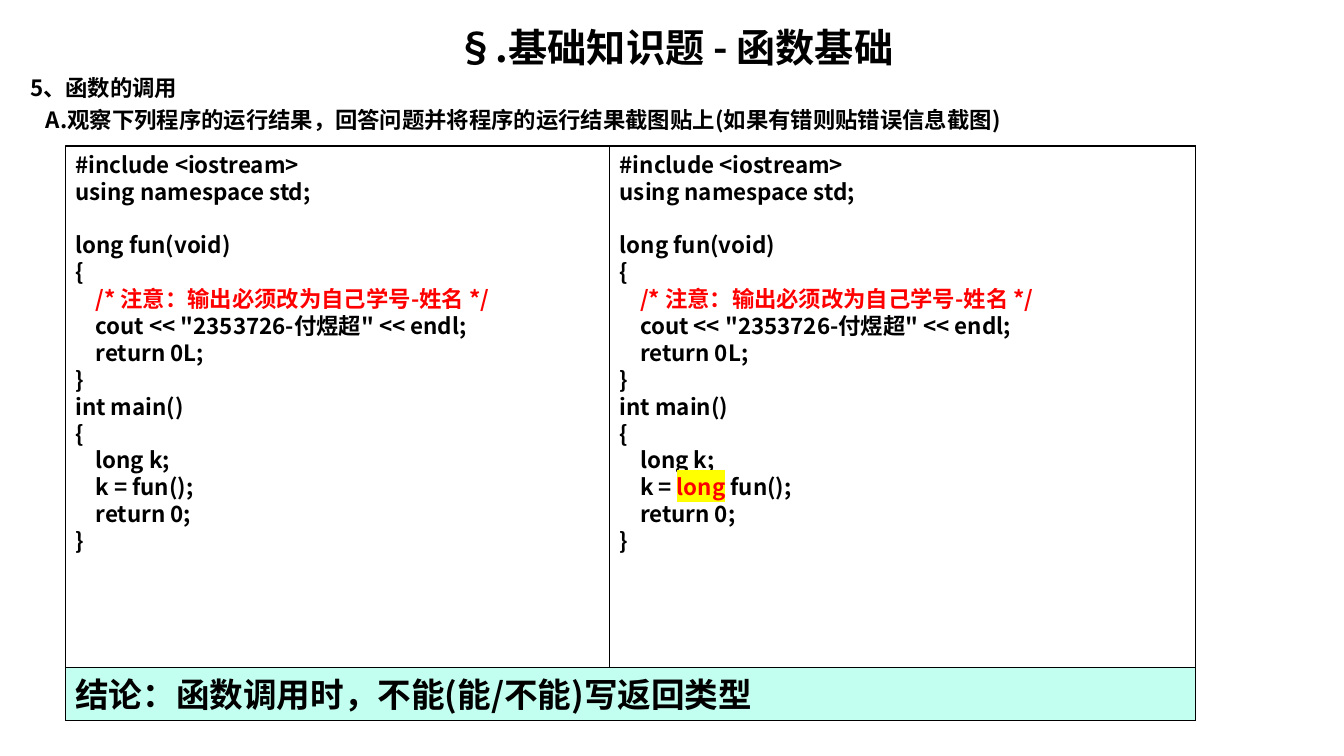
"""Builds a slide on calling functions, with two code samples and a conclusion."""
import pptx
import pptx.dml.color
import pptx.enum.shapes
import pptx.enum.text
import pptx.oxml.ns
import pptx.util
from lxml import etree

Cm = pptx.util.Cm
Pt = pptx.util.Pt
FONT = "Noto Sans CJK SC"
COLOURS = {"text": "000000", "alert": "FF0000", "marker": "FFFF00", "conclusion": "C2FFF0"}
LINE_RATIO = 1.2
FRAME_LEFT, FRAME_TOP = Cm(1.65), Cm(3.68)
FRAME_WIDTH, FRAME_HEIGHT = Cm(28.47), Cm(14.48)
RIGHT_LEFT = Cm(15.37)
CONCLUSION_HEIGHT = Cm(1.35)

CODE = """#include <iostream>
using namespace std;

long fun(void)
{
    /* 注意：输出必须改为自己学号-姓名 */
    cout << "2353726-付煜超" << endl;
    return 0L;
}
int main()
{
    long k;
    k = CALL;
    return 0;
}"""


def rgb(name):
    """Return the named colour."""
    return pptx.dml.color.RGBColor.from_string(COLOURS[name])


def style_span(span, size, colour="text", marker=None):
    """Format one run, with an optional highlight colour."""
    span.font.size = Pt(size)
    span.font.bold = True
    span.font.name = FONT
    span.font.color.rgb = rgb(colour)
    latin = span.font._element.find(pptx.oxml.ns.qn("a:latin"))
    east_asian = etree.Element(pptx.oxml.ns.qn("a:ea"), typeface=FONT)
    latin.addnext(east_asian)
    if marker:
        highlight = etree.Element(pptx.oxml.ns.qn("a:highlight"))
        etree.SubElement(highlight, pptx.oxml.ns.qn("a:srgbClr"), val=COLOURS[marker])
        latin.addprevious(highlight)


def style_text(box, size, align=pptx.enum.text.PP_ALIGN.LEFT, anchor=pptx.enum.text.MSO_ANCHOR.TOP):
    """Format all the text of a box."""
    frame = box.text_frame
    frame.word_wrap = True
    frame.auto_size = pptx.enum.text.MSO_AUTO_SIZE.NONE
    frame.vertical_anchor = anchor
    for para in frame.paragraphs:
        para.alignment = align
        para.line_spacing = Pt(size * LINE_RATIO)
        para.space_before = Pt(0)
        para.font.size = Pt(size)
        for span in para.runs:
            style_span(span, size)


def add_title(page, text):
    """Place the slide title."""
    title = page.shapes.title
    title.left, title.top, title.width, title.height = Cm(0.51), Cm(0.46), Cm(33), Cm(1.4)
    title.text_frame.text = text
    style_text(title, 28, pptx.enum.text.PP_ALIGN.CENTER)


def add_question(page, heading, task):
    """Add the question heading and its indented task."""
    box = page.shapes.add_textbox(Cm(0.51), Cm(1.75), Cm(33), Cm(1.8))
    box.text_frame.text = f"{heading}\n{task}"
    style_text(box, 16)
    task_para = box.text_frame.paragraphs[1]
    task_para.space_before = Pt(3.2)
    task_para._p.get_or_add_pPr().set("marL", str(Cm(0.4)))


def add_panel(page, left, top, width, height, fill=None):
    """Add a thinly outlined rectangle."""
    panel = page.shapes.add_shape(pptx.enum.shapes.MSO_SHAPE.RECTANGLE, left, top, width, height)
    panel.shadow.inherit = False
    panel.line.color.rgb = rgb("text")
    panel.line.width = Pt(0.75)
    if fill:
        panel.fill.solid()
        panel.fill.fore_color.rgb = rgb(fill)
    else:
        panel.fill.background()
    return panel


def add_code(page, left, width, call, marked=None):
    """Add a code panel with a red comment and an optional highlighted word."""
    panel = add_panel(page, left, FRAME_TOP, width, FRAME_HEIGHT)
    panel.text_frame.text = CODE.replace("CALL", call)
    style_text(panel, 16)
    for para in panel.text_frame.paragraphs:
        if "/*" in para.text:
            style_span(para.runs[0], 16, "alert")
        elif marked and para.text.endswith(f"{call};"):
            pieces = para.text.partition(marked)
            para.clear()
            for piece in pieces:
                span = para.add_run()
                span.text = piece
                if piece == marked:
                    style_span(span, 16, "alert", "marker")
                else:
                    style_span(span, 16)


def add_conclusion(page, text):
    """Add the shaded conclusion bar along the bottom of the frame."""
    top = FRAME_TOP + FRAME_HEIGHT - CONCLUSION_HEIGHT
    bar = add_panel(page, FRAME_LEFT, top, FRAME_WIDTH, CONCLUSION_HEIGHT, "conclusion")
    bar.text_frame.text = text
    style_text(bar, 24, anchor=pptx.enum.text.MSO_ANCHOR.MIDDLE)


def main():
    """Build and save the deck."""
    deck = pptx.Presentation()
    deck.slide_width, deck.slide_height = Cm(33.87), Cm(19.05)
    page = deck.slides.add_slide(deck.slide_layouts.get_by_name("Title Only"))
    add_title(page, "§.基础知识题 - 函数基础")
    add_question(page, "5、函数的调用",
                 "A.观察下列程序的运行结果，回答问题并将程序的运行结果截图贴上(如果有错则贴错误信息截图)")
    add_code(page, FRAME_LEFT, FRAME_WIDTH, "fun()")
    add_code(page, RIGHT_LEFT, FRAME_LEFT + FRAME_WIDTH - RIGHT_LEFT, "long fun()", "long")
    add_conclusion(page, "结论：函数调用时，不能(能/不能)写返回类型")
    deck.save("out.pptx")


if __name__ == "__main__":
    main()
